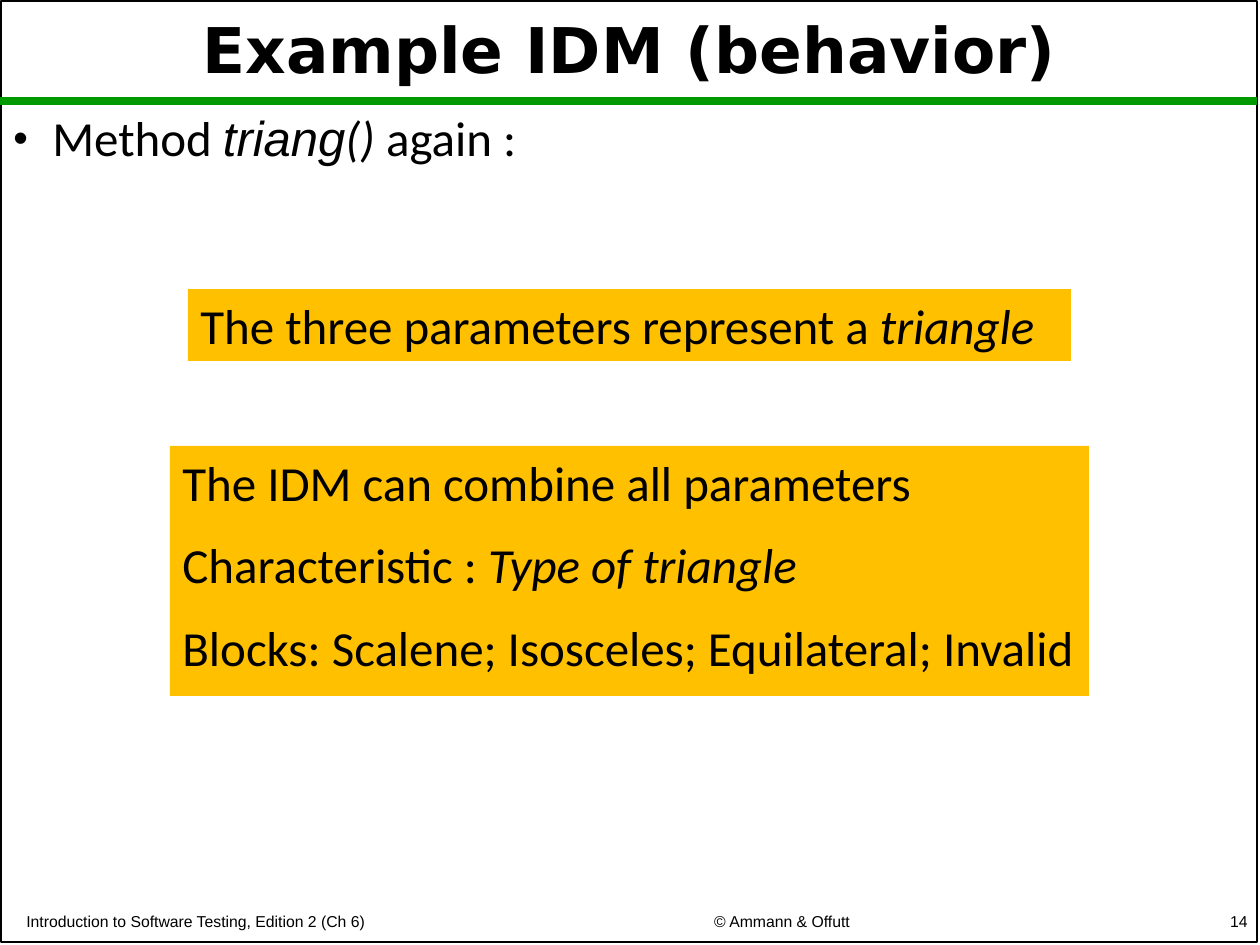
from lxml.etree import SubElement
from pptx import Presentation
from pptx.dml.color import RGBColor
from pptx.enum.shapes import MSO_CONNECTOR, MSO_SHAPE
from pptx.enum.text import MSO_ANCHOR, PP_ALIGN
from pptx.oxml.ns import qn
from pptx.util import Pt

PX = 914400 // 126
WIDTH, HEIGHT = 1260, 945
BLACK, GREEN, AMBER = "000000", "009900", "FFC000"


def px(*lengths):
    return [length * PX for length in lengths]


def paint(color_format, hex_color):
    color_format.rgb = RGBColor.from_string(hex_color)


def fill_text(shape, paragraphs, size, font="Calibri", align=PP_ALIGN.LEFT,
              anchor=MSO_ANCHOR.TOP, gap=0, bold=False):
    """Write paragraphs, each a list of (text, italic, font override) runs."""
    frame = shape.text_frame
    frame.word_wrap = True
    frame.vertical_anchor = anchor
    for index, runs in enumerate(paragraphs):
        paragraph = frame.paragraphs[0] if index == 0 else frame.add_paragraph()
        paragraph.alignment = align
        if index:
            paragraph.space_before = Pt(gap)
        paragraph.font.size = Pt(size)
        paragraph.font.name = font
        paragraph.font.bold = bold
        paint(paragraph.font.color, BLACK)
        for text, italic, run_font in runs:
            run = paragraph.add_run()
            run.text = text
            if italic:
                run.font.italic = True
            if run_font:
                run.font.name = run_font
    return frame


def plain(text):
    return (text, False, None)


def italic(text, font=None):
    return (text, True, font)


def add_border(slide, left, top, width, height):
    border = slide.shapes.add_shape(MSO_SHAPE.RECTANGLE, *px(left, top, width, height))
    border.shadow.inherit = False
    border.fill.background()
    paint(border.line.color, BLACK)
    border.line.width = Pt(1)


def add_title(slide, left, top, width, height):
    """Place the title with the green rule below it."""
    rule_top = top + height + 8
    rule = slide.shapes.add_connector(
        MSO_CONNECTOR.STRAIGHT, *px(left - 1, rule_top, left + width, rule_top))
    paint(rule.line.color, GREEN)
    rule.line.width = Pt(4.5)
    SubElement(rule._element.spPr, qn("a:effectLst"))
    title = slide.shapes.add_textbox(*px(left, top, width, height))
    frame = fill_text(title, [[plain("Example IDM (behavior)")]], 36, "DejaVu Sans",
                      PP_ALIGN.CENTER, MSO_ANCHOR.MIDDLE, bold=True)
    frame.paragraphs[0].line_spacing = 0.9


def add_bullet(paragraph, indent):
    properties = paragraph._p.get_or_add_pPr()
    properties.set("marL", str(indent * PX))
    properties.set("indent", str(-indent * PX))
    SubElement(properties, qn("a:buSzPct"), val="85000")
    SubElement(properties, qn("a:buFont"), typeface="Arial")
    SubElement(properties, qn("a:buChar"), char="•")


def add_body(slide, left, top, width, height):
    body = slide.shapes.add_textbox(*px(left, top, width, height))
    add_bullet(body.text_frame.paragraphs[0], 39)
    frame = fill_text(body, [[plain("Method "), italic("triang", "Arial"),
                              italic("()"), plain(" again :")]], 28)
    frame.paragraphs[0].line_spacing = 0.9


def add_callout(slide, left, top, width, height, paragraphs):
    callout = slide.shapes.add_shape(MSO_SHAPE.RECTANGLE, *px(left, top, width, height))
    callout.shadow.inherit = False
    callout.fill.solid()
    paint(callout.fill.fore_color, AMBER)
    callout.line.fill.background()
    fill_text(callout, paragraphs, 28, gap=13.5)


def add_footer(slide, left, top, width, height):
    parts = [
        (0, 543, PP_ALIGN.LEFT, "Introduction to Software Testing, Edition 2 (Ch 6)"),
        (568, 400, PP_ALIGN.CENTER, "© Ammann & Offutt"),
        (width - 262, 262, PP_ALIGN.RIGHT, "14"),
    ]
    for offset, part_width, align, text in parts:
        part = slide.shapes.add_textbox(*px(left + offset, top, part_width, height))
        fill_text(part, [[plain(text)]], 9, "Arial", align, MSO_ANCHOR.BOTTOM)


def main():
    deck = Presentation()
    deck.slide_width, deck.slide_height = px(WIDTH, HEIGHT)
    slide = deck.slides.add_slide(deck.slide_layouts[6])
    add_border(slide, 1, 1, 1256, 941)
    add_title(slide, 1, 14, 1256, 79)
    add_body(slide, 1, 108, 1256, 789)
    add_footer(slide, 14, 903, 1246, 34)
    add_callout(slide, 188, 289, 883, 72, [
        [plain("The three parameters represent a "), italic("triangle")],
    ])
    add_callout(slide, 170, 446, 919, 250, [
        [plain("The IDM can combine all parameters")],
        [plain("Characteristic : "), italic("Type of triangle")],
        [plain("Blocks: Scalene; Isosceles; Equilateral; Invalid")],
    ])
    deck.save("out.pptx")


if __name__ == "__main__":
    main()
